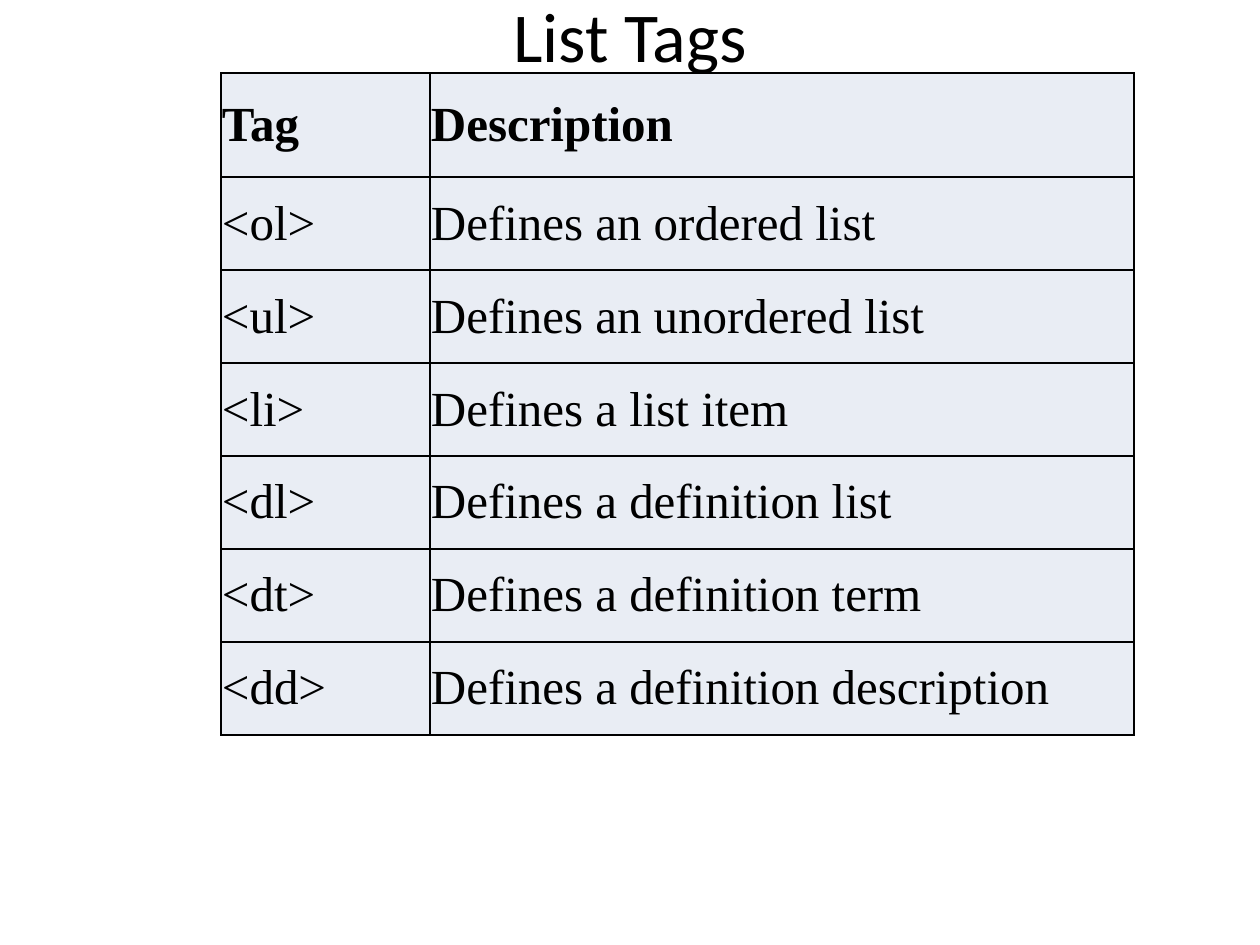
import dataclasses

import lxml.etree
import pptx
import pptx.dml.color
import pptx.enum.text
import pptx.oxml.ns
import pptx.util

SCALE = pptx.util.Inches(1) / 126
ROWS = [
    ("Tag", "Description"),
    ("<ol>", "Defines an ordered list"),
    ("<ul>", "Defines an unordered list"),
    ("<li>", "Defines a list item"),
    ("<dl>", "Defines a definition list"),
    ("<dt>", "Defines a definition term"),
    ("<dd>", "Defines a definition description"),
]


@dataclasses.dataclass(frozen=True)
class Theme:
    """Hold the colours, fonts and sizes of the slide."""

    ink: str = "000000"
    fill: str = "E9EDF4"
    head: str = "Calibri"
    body: str = "Times New Roman"
    large: int = 40
    small: int = 28
    gap: float = 6.6
    rule: int = 1


THEME = Theme()


def px(count):
    """Turn whole pixels into EMU."""
    return pptx.util.Emu(round(count * SCALE))


def color(code):
    """Make a colour from its hex code."""
    return pptx.dml.color.RGBColor.from_string(code)


def add_run(para, text, face, size, bold=False):
    """Add one styled run to a paragraph."""
    run = para.add_run()
    run.text = text
    run.font.name = face
    run.font.size = pptx.util.Pt(size)
    run.font.bold = bold
    run.font.color.rgb = color(THEME.ink)


def set_inset(item, inset):
    """Give a cell or text frame equal margins and centre it vertically."""
    item.margin_left = item.margin_right = px(inset)
    item.margin_top = item.margin_bottom = px(inset)
    item.vertical_anchor = pptx.enum.text.MSO_ANCHOR.MIDDLE


def add_title(slide, text):
    """Add the centred title."""
    frame = slide.shapes.add_textbox(px(0), px(6), px(1260), px(57)).text_frame
    frame.word_wrap = True
    set_inset(frame, 0)
    para = frame.paragraphs[0]
    para.alignment = pptx.enum.text.PP_ALIGN.CENTER
    add_run(para, text, THEME.head, THEME.large)


def add_rules(cell):
    """Draw a line on each side of a cell."""
    props = cell._tc.get_or_add_tcPr()
    width = str(pptx.util.Pt(THEME.rule))
    for place, side in enumerate(("lnL", "lnR", "lnT", "lnB")):
        line = lxml.etree.Element(pptx.oxml.ns.qn(f"a:{side}"), w=width)
        fill = lxml.etree.SubElement(line, pptx.oxml.ns.qn("a:solidFill"))
        lxml.etree.SubElement(fill, pptx.oxml.ns.qn("a:srgbClr"), val=THEME.ink)
        props.insert(place, line)


def fill_cell(cell, text, bold):
    """Style a cell and write its text."""
    set_inset(cell, 1)
    cell.fill.solid()
    cell.fill.fore_color.rgb = color(THEME.fill)
    add_rules(cell)
    para = cell.text_frame.paragraphs[0]
    para.space_before = para.space_after = pptx.util.Pt(THEME.gap)
    add_run(para, text, THEME.body, THEME.small, bold)


def add_grid(slide, rows):
    """Add the table of tags."""
    wide = [209, 704]
    high = [104] + [93] * (len(rows) - 1)
    frame = slide.shapes.add_table(
        len(rows), len(wide), px(221), px(73), px(sum(wide)), px(sum(high))
    )
    table = frame.table
    for col, width in zip(table.columns, wide):
        col.width = px(width)
    for index, (row, height) in enumerate(zip(table.rows, high)):
        row.height = px(height)
        for cell, text in zip(row.cells, rows[index]):
            fill_cell(cell, text, index == 0)


def main():
    """Build and save the slide."""
    deck = pptx.Presentation()
    deck.slide_width, deck.slide_height = px(1260), px(945)
    slide = deck.slides.add_slide(deck.slide_layouts[6])
    add_title(slide, "List Tags")
    add_grid(slide, ROWS)
    deck.save("out.pptx")


if __name__ == "__main__":
    main()
